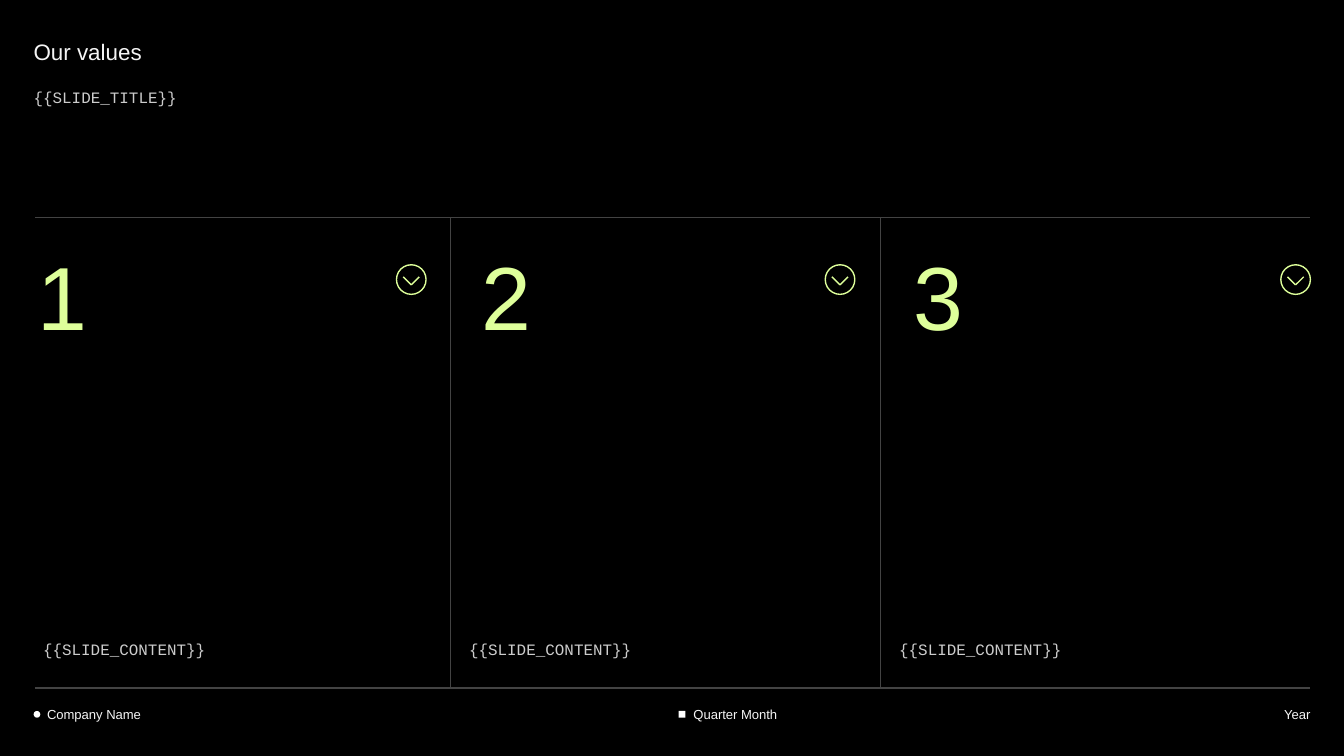
from lxml import etree
from pptx import Presentation
from pptx.dml.color import RGBColor
from pptx.enum.shapes import MSO_CONNECTOR, MSO_SHAPE
from pptx.enum.text import MSO_ANCHOR, MSO_AUTO_SIZE, PP_ALIGN
from pptx.oxml.ns import qn
from pptx.util import Inches, Pt

STRAIGHT = MSO_CONNECTOR.STRAIGHT
OVAL, RECT = MSO_SHAPE.OVAL, MSO_SHAPE.RECTANGLE
TOP, BOTTOM = MSO_ANCHOR.TOP, MSO_ANCHOR.BOTTOM
LEFT, RIGHT = PP_ALIGN.LEFT, PP_ALIGN.RIGHT
NO_FIT = MSO_AUTO_SIZE.NONE

WHITE, GREY, LIME, RULE = "F5F5F5", "CCCCCC", "DEFF9A", "434343"
MONO = "Courier New"
rgb = RGBColor.from_string


def write(sp, text, box, size, color, font="Arial", anchor=TOP, align=LEFT,
          spacing=1.15, pad=0):
    """Place sp at box and fill it with one formatted paragraph."""
    sp.left, sp.top, sp.width, sp.height = [Inches(v) for v in box]
    tf = sp.text_frame
    tf.word_wrap = True
    tf.auto_size = NO_FIT
    tf.vertical_anchor = anchor
    tf.margin_left = tf.margin_top = 0
    tf.margin_right = tf.margin_bottom = Inches(pad)
    p = tf.paragraphs[0]
    pPr = p._p.get_or_add_pPr()
    pPr.set("marL", "0")
    pPr.set("indent", "0")
    etree.SubElement(pPr, qn("a:buNone"))
    p.alignment = align
    p.line_spacing = spacing
    p.space_before = Pt(0)
    r = p.add_run()
    r.text = text
    r.font.name = font
    r.font.size = Pt(size)
    r.font.bold = False
    r.font.color.rgb = rgb(color)


def add_line(shapes, x1, y1, x2, y2, color):
    line = shapes.add_connector(STRAIGHT, Inches(x1), Inches(y1), Inches(x2), Inches(y2))
    line.line.color.rgb = rgb(color)
    line.line.width = Pt(0.75)
    etree.SubElement(line._element.spPr, qn("a:effectLst"))


prs = Presentation()
prs.slide_width = Inches(10)
prs.slide_height = prs.slide_width * 9 // 16
s = prs.slides.add_slide(prs.slide_layouts[4])  # title and four body placeholders
s.background.fill.solid()
s.background.fill.fore_color.rgb = rgb("000000")
subtitle, *bodies = list(s.placeholders)[1:]

# Header
write(subtitle, "Our values", (0.25, 0.25, 3.19, 0.25), 12, WHITE)
write(s.shapes.title, "{{SLIDE_TITLE}}", (0.25, 0.67, 7.9, 0.22), 8.5, GREY,
      font=MONO, spacing=0.85, pad=0.1)

# Rules around and between the columns
for y in (1.62, 5.12):
    add_line(s.shapes, 0.26, y, 9.75, y, RULE)
for x in (3.35, 6.55):
    add_line(s.shapes, x, 1.62, x, 5.12, RULE)

# Columns: left of number, left of body, left of icon
columns = [(0.28, 0.32, 2.95), (3.58, 3.49, 6.14), (6.8, 6.69, 9.53)]
for n, (body, (number_x, body_x, icon_x)) in enumerate(zip(bodies, columns), 1):
    number = s.shapes.add_textbox(0, 0, 0, 0)
    write(number, str(n), (number_x, 1.79, 1.23, 1.3), 48, LIME, spacing=1.0, pad=0.1)
    write(body, "{{SLIDE_CONTENT}}", (body_x, 3.7, 2.91, 1.3), 8.5, GREY,
          font=MONO, anchor=BOTTOM, pad=0.1)

    icon = s.shapes.add_group_shape()
    ring = icon.shapes.add_shape(OVAL, Inches(icon_x), Inches(1.97), Inches(0.22), Inches(0.22))
    ring.shadow.inherit = False
    ring.fill.background()
    ring.line.color.rgb = rgb(LIME)
    ring.line.width = Pt(0.75)
    mid = icon_x + 0.11
    for dx in (-0.06, 0.06):
        add_line(icon.shapes, mid + dx, 2.06, mid, 2.12, LIME)

# Footer
for kind, x in ((OVAL, 0.25), (RECT, 5.05)):
    marker = s.shapes.add_shape(kind, Inches(x), Inches(5.29), Inches(0.05), Inches(0.05))
    marker.shadow.inherit = False
    marker.fill.solid()
    marker.fill.fore_color.rgb = rgb("FFFFFF")
    marker.line.fill.background()
for text, x, width, align in (("Company Name", 0.35, 2.95, LEFT),
                              ("Quarter Month", 5.16, 2.51, LEFT),
                              ("Year", 7.5, 2.25, RIGHT)):
    label = s.shapes.add_textbox(0, 0, 0, 0)
    write(label, text, (x, 5.11, width, 0.26), 7, WHITE, anchor=BOTTOM, align=align)

prs.save("out.pptx")
